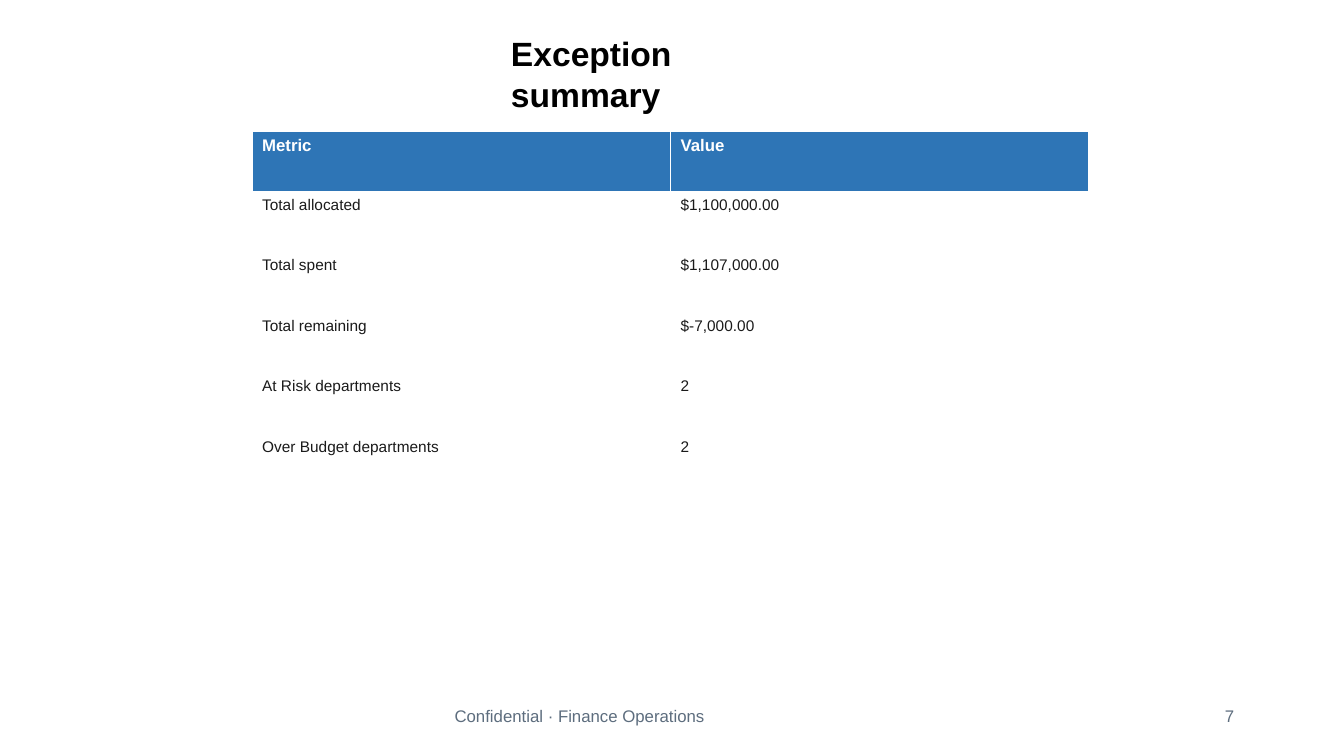
from lxml.etree import SubElement
from pptx import Presentation
from pptx.dml.color import RGBColor
from pptx.enum.text import MSO_AUTO_SIZE, PP_ALIGN
from pptx.oxml.ns import qn
from pptx.util import Emu, Pt

# Content
FONT = "Arial"
BLACK, WHITE, BLUE, INK, GREY = "000000", "FFFFFF", "2E75B6", "1A1A1A", "5D6D7E"
# text, (left, top, width, height), size, colour, bold, alignment
LABELS = [
    ("Exception summary", (497, 28, 336, 50), 24, BLACK, True, PP_ALIGN.LEFT),
    ("Confidential · Finance Operations", (441, 695, 268, 30), 12, GREY, False, PP_ALIGN.LEFT),
    ("7", (1205, 695, 29, 30), 12, GREY, False, PP_ALIGN.RIGHT),
]
METRICS = [
    ("Metric", "Value"),
    ("Total allocated", "$1,100,000.00"),
    ("Total spent", "$1,107,000.00"),
    ("Total remaining", "$-7,000.00"),
    ("At Risk departments", "2"),
    ("Over Budget departments", "2"),
]
TABLE_LEFT, TABLE_TOP, COLUMN_WIDTH, ROW_HEIGHT = 250, 130, 415, 60
BORDER_WIDTH = Pt(0.96)


def px(length):
    return Emu(length * 9144)  # 100 px to the inch


def color(hex_string):
    return RGBColor.from_string(hex_string)


def add_run(paragraph, text, size, hex_string, bold):
    run = paragraph.add_run()
    run.text = text
    run.font.name = FONT
    run.font.size = Pt(size)
    run.font.bold = bold
    run.font.color.rgb = color(hex_string)


def add_label(slide, text, box, size, hex_string, bold, alignment):
    shape = slide.shapes.add_textbox(*map(px, box))
    frame = shape.text_frame
    frame.word_wrap = False
    frame.auto_size = MSO_AUTO_SIZE.SHAPE_TO_FIT_TEXT
    paragraph = frame.paragraphs[0]
    paragraph.alignment = alignment
    add_run(paragraph, text, size, hex_string, bold)


def add_borders(cell, hex_string):
    properties = cell._tc.get_or_add_tcPr()
    for side in ("a:lnL", "a:lnR", "a:lnT", "a:lnB"):
        line = SubElement(properties, qn(side), w=str(BORDER_WIDTH))
        fill = SubElement(line, qn("a:solidFill"))
        SubElement(fill, qn("a:srgbClr"), val=hex_string)


def add_metrics(slide):
    row_count, column_count = len(METRICS), len(METRICS[0])
    table = slide.shapes.add_table(
        row_count, column_count, px(TABLE_LEFT), px(TABLE_TOP),
        px(COLUMN_WIDTH * column_count), px(ROW_HEIGHT * row_count)).table
    for row_index, values in enumerate(METRICS):
        header = row_index == 0
        size, ink, background = (12, WHITE, BLUE) if header else (11, INK, WHITE)
        for column_index, text in enumerate(values):
            cell = table.cell(row_index, column_index)
            add_borders(cell, WHITE)
            cell.fill.solid()
            cell.fill.fore_color.rgb = color(background)
            add_run(cell.text_frame.paragraphs[0], text, size, ink, header)


def main():
    presentation = Presentation()
    presentation.slide_width, presentation.slide_height = px(1333), px(750)
    slide = presentation.slides.add_slide(presentation.slide_layouts[6])

    # Title, footer and page number
    for label in LABELS:
        add_label(slide, *label)

    # Summary table
    add_metrics(slide)
    presentation.save("out.pptx")


if __name__ == "__main__":
    main()
